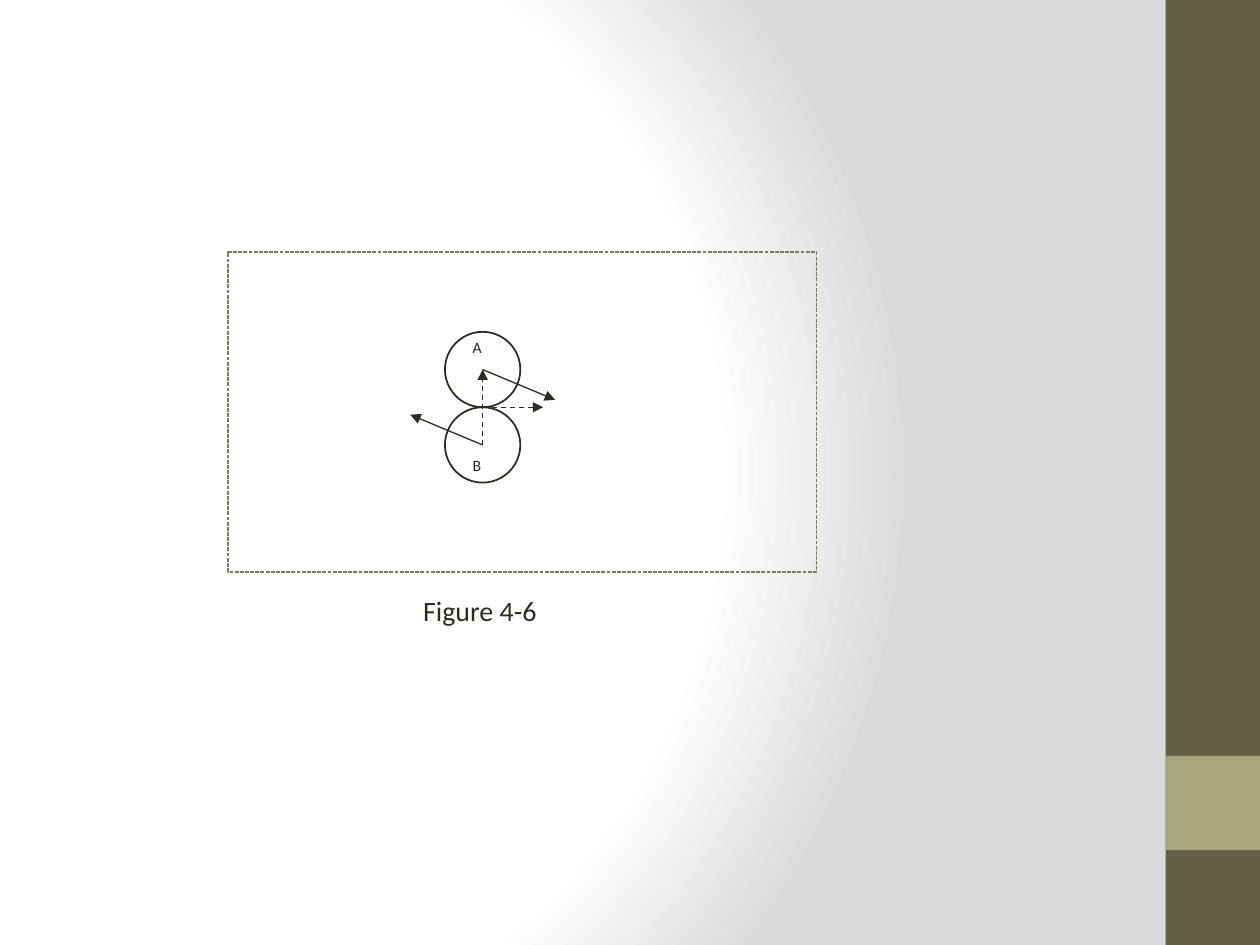
import pptx
import pptx.dml.color
import pptx.enum.dml
import pptx.enum.shapes
import pptx.enum.text
import pptx.oxml
import pptx.oxml.ns
import pptx.util
from pptx.util import Cm

INK = pptx.dml.color.RGBColor(0x2F, 0x2B, 0x20)
FRAME = pptx.dml.color.RGBColor(0x7D, 0x7A, 0x5C)
BAR = pptx.dml.color.RGBColor(0x67, 0x5E, 0x47)
BAND = pptx.dml.color.RGBColor(0xA9, 0xA5, 0x7C)
WHITE = pptx.dml.color.RGBColor(0xFF, 0xFF, 0xFF)
GREY = pptx.dml.color.RGBColor(0xDA, 0xDA, 0xDA)

SHAPE = pptx.enum.shapes.MSO_SHAPE
DASH = pptx.enum.dml.MSO_LINE


def set_background(s):
    stops = "".join(
        f'<a:gs pos="{pos * 1000}"><a:srgbClr val="{color}"/></a:gs>'
        for pos, color in ((0, WHITE), (75, WHITE), (100, GREY))
    )
    bg = pptx.oxml.parse_xml(
        f'<p:bg {pptx.oxml.ns.nsdecls("p", "a")}><p:bgPr>'
        f'<a:gradFill rotWithShape="1"><a:gsLst>{stops}</a:gsLst>'
        '<a:path path="circle">'
        '<a:fillToRect l="20000" t="50000" r="100000" b="50000"/>'
        '</a:path></a:gradFill><a:effectLst/></p:bgPr></p:bg>'
    )
    s.element.cSld.insert(0, bg)


def add_block(s, x, y, w, h, color):
    sp = s.shapes.add_shape(SHAPE.RECTANGLE, Cm(x), Cm(y), Cm(w), Cm(h))
    sp.shadow.inherit = False
    sp.fill.solid()
    sp.fill.fore_color.rgb = color
    sp.line.fill.background()


def add_outline(s, kind, x, y, w, h, color, width, dash=None):
    sp = s.shapes.add_shape(kind, Cm(x), Cm(y), Cm(w), Cm(h))
    sp.shadow.inherit = False
    sp.fill.background()
    sp.line.color.rgb = color
    sp.line.width = pptx.util.Pt(width)
    sp.line.dash_style = dash


def add_arrow(s, x, y, dx, dy, dash=None):
    sp = s.shapes.add_connector(
        pptx.enum.shapes.MSO_CONNECTOR.STRAIGHT,
        Cm(x), Cm(y), Cm(x + dx), Cm(y + dy),
    )
    sp.line.color.rgb = INK
    sp.line.width = pptx.util.Pt(0.75)
    sp.line.dash_style = dash
    ns = pptx.oxml.ns.nsdecls("a")
    sp.line._get_or_add_ln().append(
        pptx.oxml.parse_xml(f'<a:tailEnd {ns} type="triangle"/>')
    )
    sp.element.spPr.append(pptx.oxml.parse_xml(f"<a:effectLst {ns}/>"))


def add_text(s, text, x, y, w, h, size, wrap=False):
    tf = s.shapes.add_textbox(Cm(x), Cm(y), Cm(w), Cm(h)).text_frame
    tf.margin_left = tf.margin_right = 0
    tf.word_wrap = wrap
    tf.auto_size = pptx.enum.text.MSO_AUTO_SIZE.SHAPE_TO_FIT_TEXT
    p = tf.paragraphs[0]
    p.text = text
    p.font.name = "Calibri"
    p.font.size = pptx.util.Pt(size)
    p.font.color.rgb = INK


def main():
    prs = pptx.Presentation()
    prs.slide_width, prs.slide_height = Cm(25.4), Cm(19.05)
    s = prs.slides.add_slide(prs.slide_layouts[6])
    set_background(s)
    add_block(s, 23.5, 0, 1.9, 19.05, BAR)
    add_block(s, 23.5, 15.24, 1.9, 1.9, BAND)
    add_outline(s, SHAPE.RECTANGLE, 4.6, 5.08, 11.86, 6.45,
                FRAME, 0.75, DASH.SQUARE_DOT)
    add_text(s, "Figure 4-6", 8.53, 11.84, 5.89, 0.94, 16, wrap=True)

    contact_x, contact_y, radius = 9.73, 8.21, 0.76
    for top in (contact_y - 2 * radius, contact_y):
        add_outline(s, SHAPE.OVAL, contact_x - radius, top,
                    2 * radius, 2 * radius, INK, 1)
    for side in (-1, 1):
        add_arrow(s, contact_x, contact_y + side * radius,
                  -side * 1.46, -side * 0.61)
    add_arrow(s, contact_x, contact_y + radius, 0, -2 * radius, DASH.DASH)
    add_arrow(s, contact_x, contact_y, 1.22, 0, DASH.DASH)
    for label, y in (("A", 6.68), ("B", 9.07)):
        add_text(s, label, 9.53, y, 0.18, 0.64, 9)

    prs.save("out.pptx")


if __name__ == "__main__":
    main()
